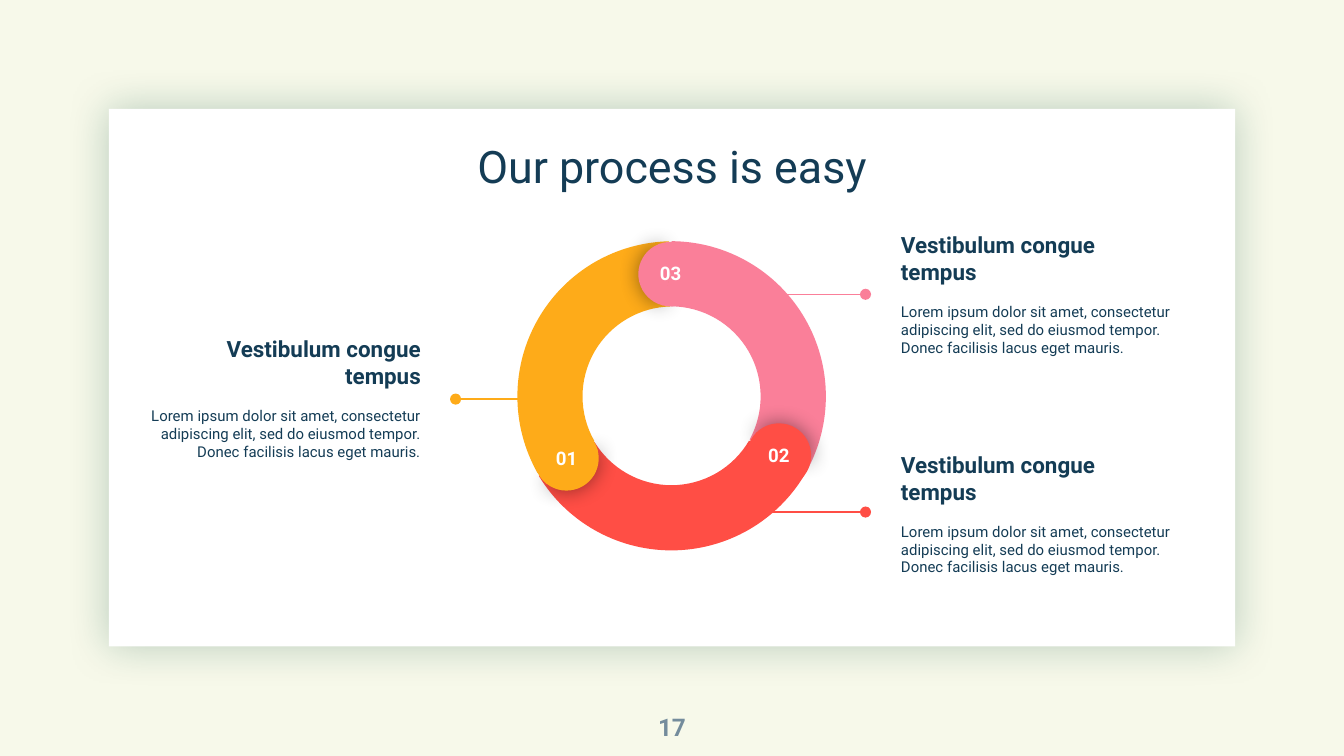
from lxml import etree
from pptx import Presentation
from pptx import util as u
from pptx.dml.color import RGBColor
from pptx.enum import shapes, text
from pptx.oxml.ns import qn

WIDTH = 10
HEIGHT = WIDTH * 9 / 16
CELL = WIDTH / 100
FONT = "Roboto"
NAVY, WHITE = "143C55", "FFFFFF"
PINK, RED, AMBER = "FA7F99", "FF4E45", "FEAB19"
HEADING = "Vestibulum congue tempus"
BODY = ("Lorem ipsum dolor sit amet, consectetur adipiscing elit, "
        "sed do eiusmod tempor. Donec facilisis lacus eget mauris.")
LEFT, CENTER, RIGHT = text.PP_ALIGN.LEFT, text.PP_ALIGN.CENTER, text.PP_ALIGN.RIGHT

RING_SIZE, CAP_SIZE = 23.1, 4.8
ARCS = [
    (PINK, 38.35, 17.95, 60),
    (RED, 38.4, 17.85, 180),
    (AMBER, 38.5, 17.95, 300),
]
CAPS = [
    ("01", AMBER, 39.75, 31.7, 240),
    ("03", PINK, 47.5, 18, 0),
    ("02", RED, 55.55, 31.5, 120),
]
NOTES = [
    (AMBER, 9.9, 24.25, 22.4, RIGHT, 39.2, 33.9, 29.7),
    (PINK, 66.05, 16.5, 22.1, LEFT, 53.7, 64.4, 21.9),
    (RED, 66.05, 32.85, 22.1, LEFT, 53.7, 64.4, 38.1),
]


def color(code):
    return RGBColor.from_string(code)


def grid(*cells):
    return [u.Inches(round(cell * CELL, 3)) for cell in cells]


def add_shadow(shape, code, alpha, blur):
    effects = shape._element.spPr.find(qn("a:effectLst"))
    shadow = etree.SubElement(effects, qn("a:outerShdw"), blurRad=str(u.Pt(blur)),
                              dist="0", algn="ctr", rotWithShape="0")
    tint = etree.SubElement(shadow, qn("a:srgbClr"), val=code)
    etree.SubElement(tint, qn("a:alpha"), val=str(alpha * 1000))


def add_figure(slide, preset, box, fill, turn=0, adjustments=()):
    figure = slide.shapes.add_shape(preset, *grid(*box))
    figure.shadow.inherit = False
    figure.fill.solid()
    figure.fill.fore_color.rgb = color(fill)
    figure.line.fill.background()
    figure.rotation = turn
    for index, value in enumerate(adjustments):
        figure.adjustments[index] = value
    return figure


def add_run(paragraph, words, size, code, bold=False):
    run = paragraph.add_run()
    run.text = words
    run.font.name = FONT
    run.font.size = u.Pt(size)
    run.font.bold = bold
    run.font.color.rgb = color(code)


def add_frame(slide, box, anchor=text.MSO_ANCHOR.MIDDLE, inset=0, align=CENTER):
    frame = slide.shapes.add_textbox(*grid(*box)).text_frame
    frame.word_wrap = True
    frame.vertical_anchor = anchor
    frame.margin_left, frame.margin_top, frame.margin_right, frame.margin_bottom = grid(*[inset] * 4)
    frame.paragraphs[0].alignment = align
    return frame


def add_pointer(slide, start, end, row, code):
    pointer = slide.shapes.add_connector(
        shapes.MSO_CONNECTOR.STRAIGHT, *grid(start, row, end, row))
    pointer.line.color.rgb = color(code)
    pointer.line.width = u.Pt(0.75)
    properties = pointer._element.spPr
    etree.SubElement(properties.find(qn("a:ln")), qn("a:tailEnd"), type="oval")
    etree.SubElement(properties, qn("a:effectLst"))


def add_note(slide, code, left, top, width, align, start, end, row):
    frame = add_frame(slide, (left, top, width, 10.7), inset=1, align=align)
    add_run(frame.paragraphs[0], HEADING, 12, NAVY, True)
    body = frame.add_paragraph()
    body.alignment = align
    body.space_before = u.Pt(9.5)
    add_run(body, BODY, 8, NAVY)
    add_pointer(slide, start, end, row, code)


def add_cap(slide, code, left, top, turn):
    box = (left, top, CAP_SIZE, CAP_SIZE)
    pie = shapes.MSO_SHAPE.PIE
    outer = add_figure(slide, pie, box, code, turn + 0.7, (61.9, 149.96))
    add_shadow(outer, "000000", 43, 11.2)
    add_figure(slide, pie, box, code, (turn + 180) % 360, (40.28, 171.84))


def main():
    deck = Presentation()
    deck.slide_width, deck.slide_height = u.Inches(WIDTH), u.Inches(HEIGHT)
    slide = deck.slides.add_slide(deck.slide_layouts[6])
    slide.background.fill.solid()
    slide.background.fill.fore_color.rgb = color("F7F9EA")

    card = add_figure(slide, shapes.MSO_SHAPE.RECTANGLE, (8.1, 8.1, 83.8, 40), WHITE)
    add_shadow(card, "054C3A", 25, 22.5)

    title = add_frame(slide, (11.85, 10.7, 76.3, 3.7), text.MSO_ANCHOR.BOTTOM).paragraphs[0]
    title.line_spacing = 0.9
    add_run(title, "Our process is easy", 24, NAVY)
    page = add_frame(slide, (47, 51.95, 6, 4.3))
    add_run(page.paragraphs[0], "17", 13, "748C9C", True)

    for note in NOTES:
        add_note(slide, *note)
    for code, left, top, turn in ARCS:
        add_figure(slide, shapes.MSO_SHAPE.BLOCK_ARC, (left, top, RING_SIZE, RING_SIZE),
                   code, turn, (126.22, 197.2, 0.21))
    for _, code, left, top, turn in CAPS:
        add_cap(slide, code, left, top, turn)
    for number, _, left, top, _ in CAPS:
        label = add_frame(slide, (left, top - 0.05, CAP_SIZE, CAP_SIZE))
        add_run(label.paragraphs[0], number, 10, WHITE, True)

    deck.save("out.pptx")


if __name__ == "__main__":
    main()
